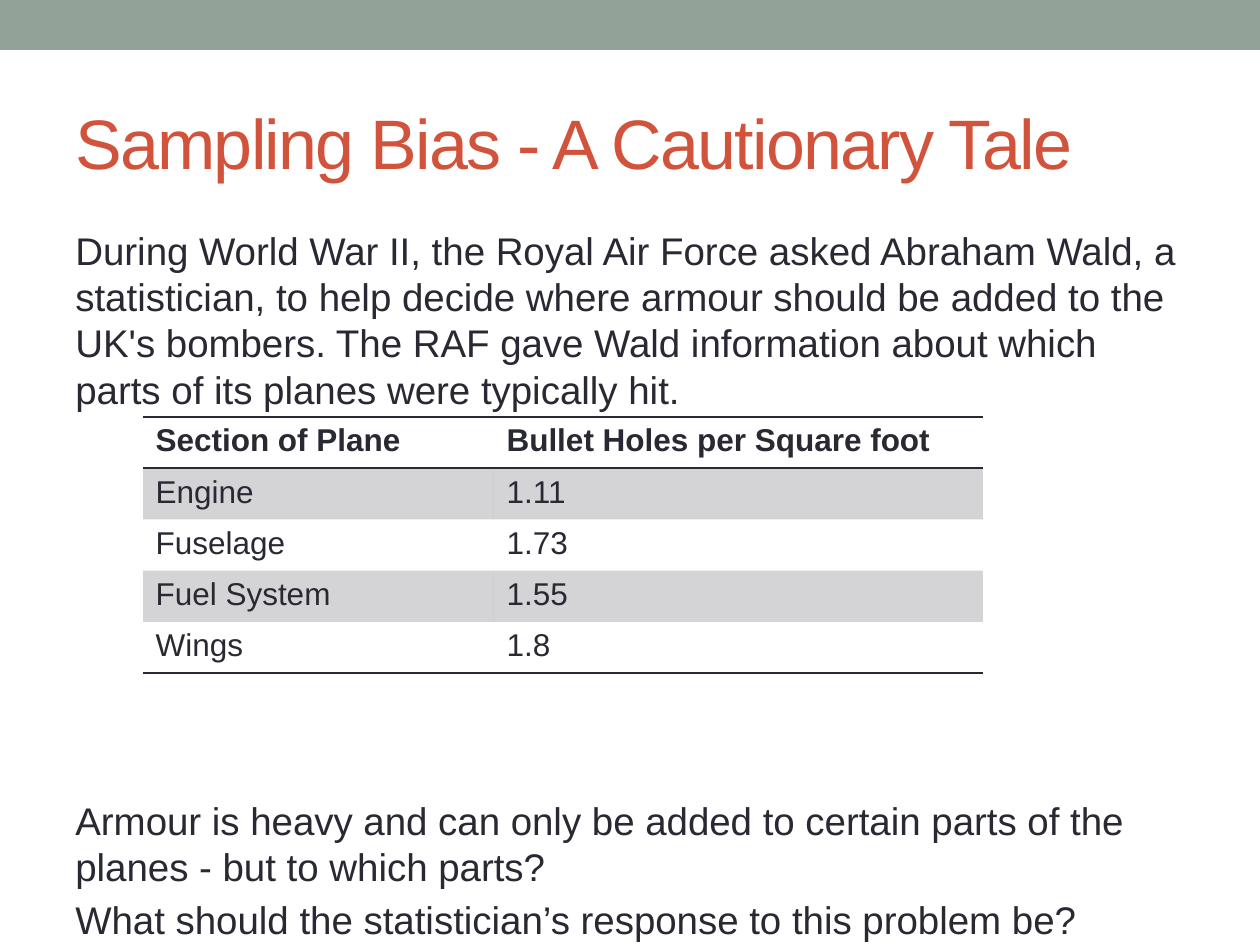
"""Builds the slide on sampling bias with its table of bullet holes."""
from lxml.etree import SubElement
from pptx import Presentation
from pptx.dml.color import RGBColor
from pptx.enum.shapes import MSO_SHAPE
from pptx.enum.text import MSO_ANCHOR
from pptx.oxml.ns import qn
from pptx.util import Pt

PX = 914400 / 126
COLORS = {"bar": "93A299", "title": "D2533C", "text": "292934"}
NO_STYLE = "{2D5ABB26-0587-4C30-8999-92F81FD0307C}"


def px(*lengths):
    return [round(n * PX) for n in lengths]


def add_run(p, text, color, **fmt):
    r = p.add_run()
    r.text = text
    r.font.color.rgb = RGBColor.from_string(COLORS[color])
    for name, value in {"name": "Arial", **fmt}.items():
        setattr(r.font, name, value)
    return r


prs = Presentation()
prs.slide_width, prs.slide_height = px(1260, 945)
s = prs.slides.add_slide(prs.slide_layouts[6])

sp = s.shapes.add_shape(MSO_SHAPE.RECTANGLE, *px(0, 0, 1260, 50))
sp.shadow.inherit = False
sp.fill.solid()
sp.fill.fore_color.rgb = RGBColor.from_string(COLORS["bar"])
sp.line.fill.background()

tf = s.shapes.add_textbox(*px(63, 73, 1134, 136)).text_frame
tf.word_wrap = True
tf.vertical_anchor = MSO_ANCHOR.MIDDLE
r = add_run(tf.paragraphs[0], "Sampling Bias - A Cautionary Tale", "title", size=Pt(40))
r.font._element.set("spc", "-100")

body = [
    ("During World War II, the Royal Air Force asked Abraham Wald, a statistician, "
     "to help decide where armour should be added to the UK's bombers. The RAF gave "
     "Wald information about which parts of its planes were typically hit.", 0),
    ("Armour is heavy and can only be added to certain parts of the planes - "
     "but to which parts?", 385),
    ("What should the statistician’s response to this problem be?", 7),
]
tf = s.shapes.add_textbox(*px(63, 221, 1134, 664)).text_frame
tf.word_wrap = True
tf.margin_top = px(6)[0]
for i, (text, gap) in enumerate(body):
    p = tf.add_paragraph() if i else tf.paragraphs[0]
    p.space_before = px(gap)[0]
    add_run(p, text, "text", size=Pt(22))

rows = [
    ("Section of Plane", "Bullet Holes per Square foot"),
    ("Engine", "1.11"),
    ("Fuselage", "1.73"),
    ("Fuel System", "1.55"),
    ("Wings", "1.8"),
]
borders = {0: ("a:lnT", "a:lnB"), len(rows) - 1: ("a:lnB",)}
tbl = s.shapes.add_table(len(rows), 2, *px(143, 417, 840, 256)).table
tbl._tbl.tblPr.find(qn("a:tableStyleId")).text = NO_STYLE
for col, width in zip(tbl.columns, px(351, 489)):
    col.width = width
for i, row in enumerate(rows):
    for j, text in enumerate(row):
        cell = tbl.cell(i, j)
        add_run(cell.text_frame.paragraphs[0], text, "text", size=Pt(18), bold=i == 0)
        tcPr = cell._tc.get_or_add_tcPr()
        for side in borders.get(i, ()):
            ln = SubElement(tcPr, qn(side), w=str(Pt(1)))
            SubElement(SubElement(ln, qn("a:solidFill")), qn("a:srgbClr"), val=COLORS["text"])
        if i % 2:
            cell.fill.solid()
            cell.fill.fore_color.rgb = RGBColor.from_string(COLORS["text"])
            clr = tcPr.find(qn("a:solidFill")).find(qn("a:srgbClr"))
            SubElement(clr, qn("a:alpha"), val="20000")
        else:
            cell.fill.background()

prs.save("out.pptx")
